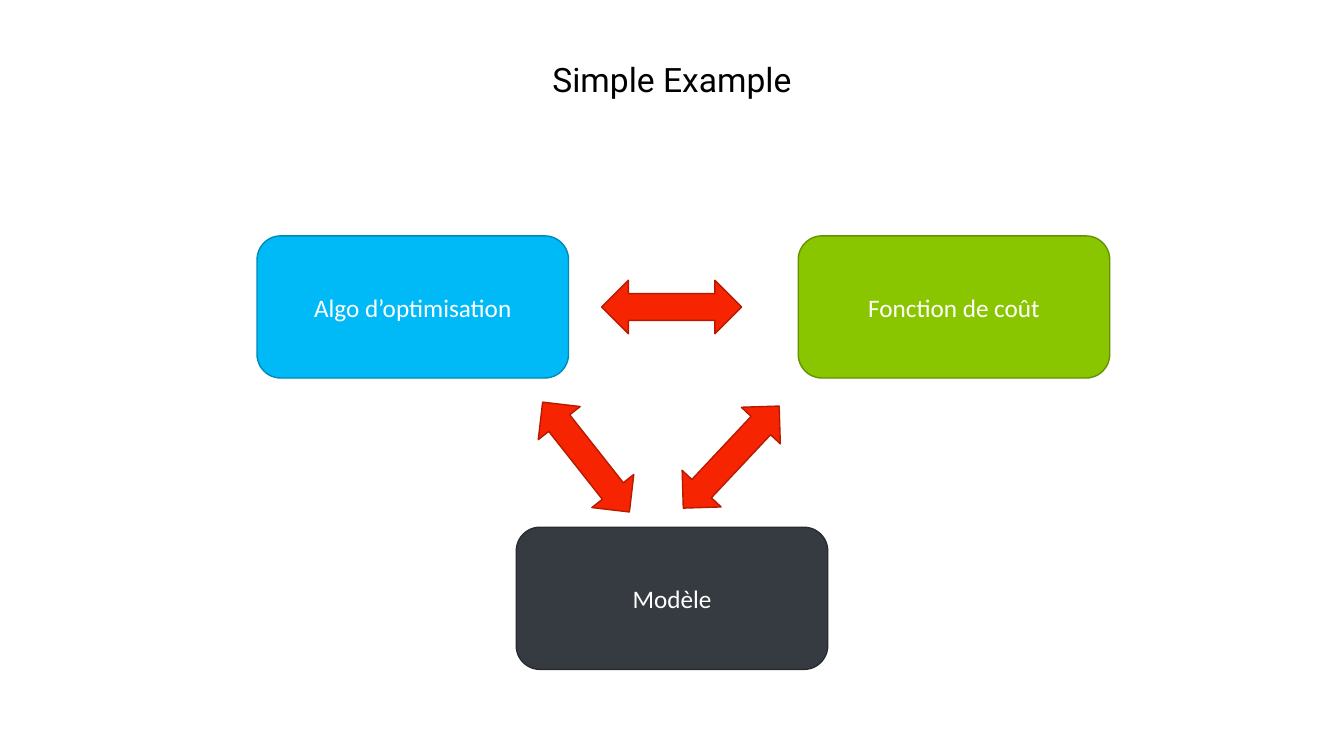
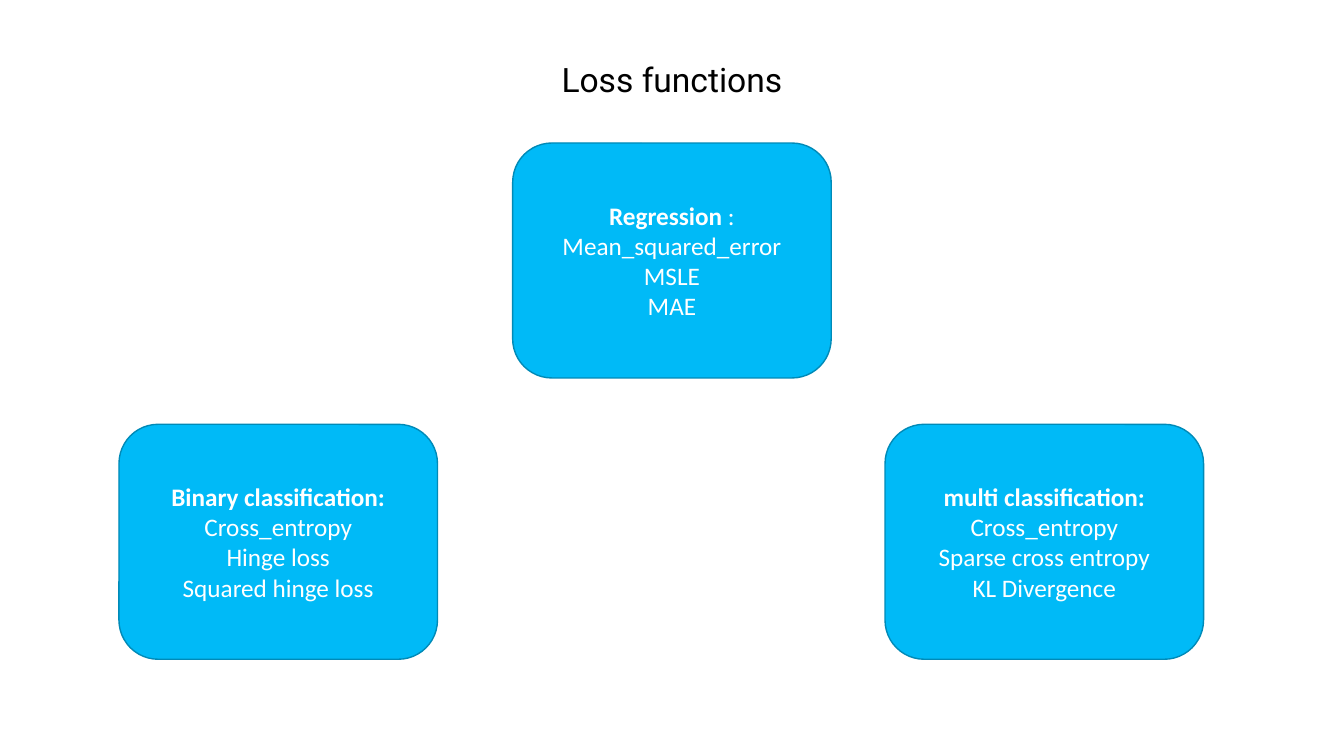
from pptx import Presentation
from pptx.dml.color import RGBColor
from pptx.enum.shapes import MSO_SHAPE as SHAPE
from pptx.enum.text import MSO_ANCHOR as ANCHOR, PP_ALIGN as ALIGN
from pptx.util import Pt

SLIDE_W, SLIDE_H = 960, 540
COLORS = {
    "title": "000000", "text": "FFFFFF",
    "blue": "00BAF7", "blue_line": "008AB7",
    "green": "89C600", "green_line": "659200",
    "dark": "363B41", "dark_line": "282C30",
    "red": "F62401", "red_line": "B61B01",
}
TITLE_FONT, BODY_FONT = "Roboto", "Calibri"
TITLE_BOX = (296, 24.5, 368, 45.4)

# Boxes: left, top, colour, lines; a line is a list of (text, bold) runs
PART_SIZE = (222.5, 101.5)
PART_MID = (SLIDE_W - PART_SIZE[0]) / 2
PARTS = [
    (183.6, 168.5, "blue", [[("Algo d’optimisation", False)]]),
    (570.2, 168.5, "green", [[("Fonction de coût", False)]]),
    (PART_MID, 376.6, "dark", [[("Modèle", False)]]),
]

# Arrows: left, top, rotation
ARROW_SIZE = (100, 38.2)
ARROWS = [(368.6, 307.4, 51.7), (429.8, 200.2, 0), (472.3, 307.4, 133.2)]

LOSS_SIZE = (227.5, 167.8)
LOSS_MID = (SLIDE_W - LOSS_SIZE[0]) / 2
LOSSES = [
    (LOSS_MID, 102.2, [("Regression", True), (" :", False)],
     ["Mean_squared_error", "MSLE", "MAE"]),
    (85, 303.1, [("Binary classification:", True)],
     ["Cross_entropy", "Hinge loss", "Squared hinge loss"]),
    (632.2, 303.1, [("multi classification:", True)],
     ["Cross_entropy", "Sparse cross entropy", "KL Divergence"]),
]


def rgb(name):
    return RGBColor.from_string(COLORS[name])


def add_run(p, text, font, size, color, bold=False):
    r = p.add_run()
    r.text = text
    r.font.name, r.font.size, r.font.bold = font, Pt(size), bold
    r.font.color.rgb = rgb(color)


def add_slide(prs, title):
    s = prs.slides.add_slide(prs.slide_layouts[6])
    tf = s.shapes.add_textbox(*map(Pt, TITLE_BOX)).text_frame
    tf.word_wrap = True
    p = tf.paragraphs[0]
    p.alignment, p.line_spacing = ALIGN.CENTER, 1.5
    add_run(p, title, TITLE_FONT, 24, "title")
    return s


def add_filled(s, kind, left, top, size, color):
    sp = s.shapes.add_shape(kind, *map(Pt, (left, top, *size)))
    sp.shadow.inherit = False
    sp.fill.solid()
    sp.fill.fore_color.rgb = rgb(color)
    sp.line.color.rgb = rgb(color + "_line")
    sp.line.width = Pt(1)
    return sp


def add_box(s, left, top, size, color, lines):
    tf = add_filled(s, SHAPE.ROUNDED_RECTANGLE, left, top, size, color).text_frame
    tf.word_wrap = True
    tf.vertical_anchor = ANCHOR.MIDDLE
    for i, runs in enumerate(lines):
        p = tf.add_paragraph() if i else tf.paragraphs[0]
        p.alignment = ALIGN.CENTER
        for text, bold in runs:
            add_run(p, text, BODY_FONT, 18, "text", bold)


def main():
    prs = Presentation()
    prs.slide_width, prs.slide_height = Pt(SLIDE_W), Pt(SLIDE_H)

    s = add_slide(prs, "Simple Example")
    for left, top, color, lines in PARTS:
        add_box(s, left, top, PART_SIZE, color, lines)
    for left, top, angle in ARROWS:
        sp = add_filled(s, SHAPE.LEFT_RIGHT_ARROW, left, top, ARROW_SIZE, "red")
        sp.rotation = angle

    s = add_slide(prs, "Loss functions")
    for left, top, heading, names in LOSSES:
        lines = [heading] + [[(name, False)] for name in names]
        add_box(s, left, top, LOSS_SIZE, "blue", lines)

    prs.save("out.pptx")


if __name__ == "__main__":
    main()
